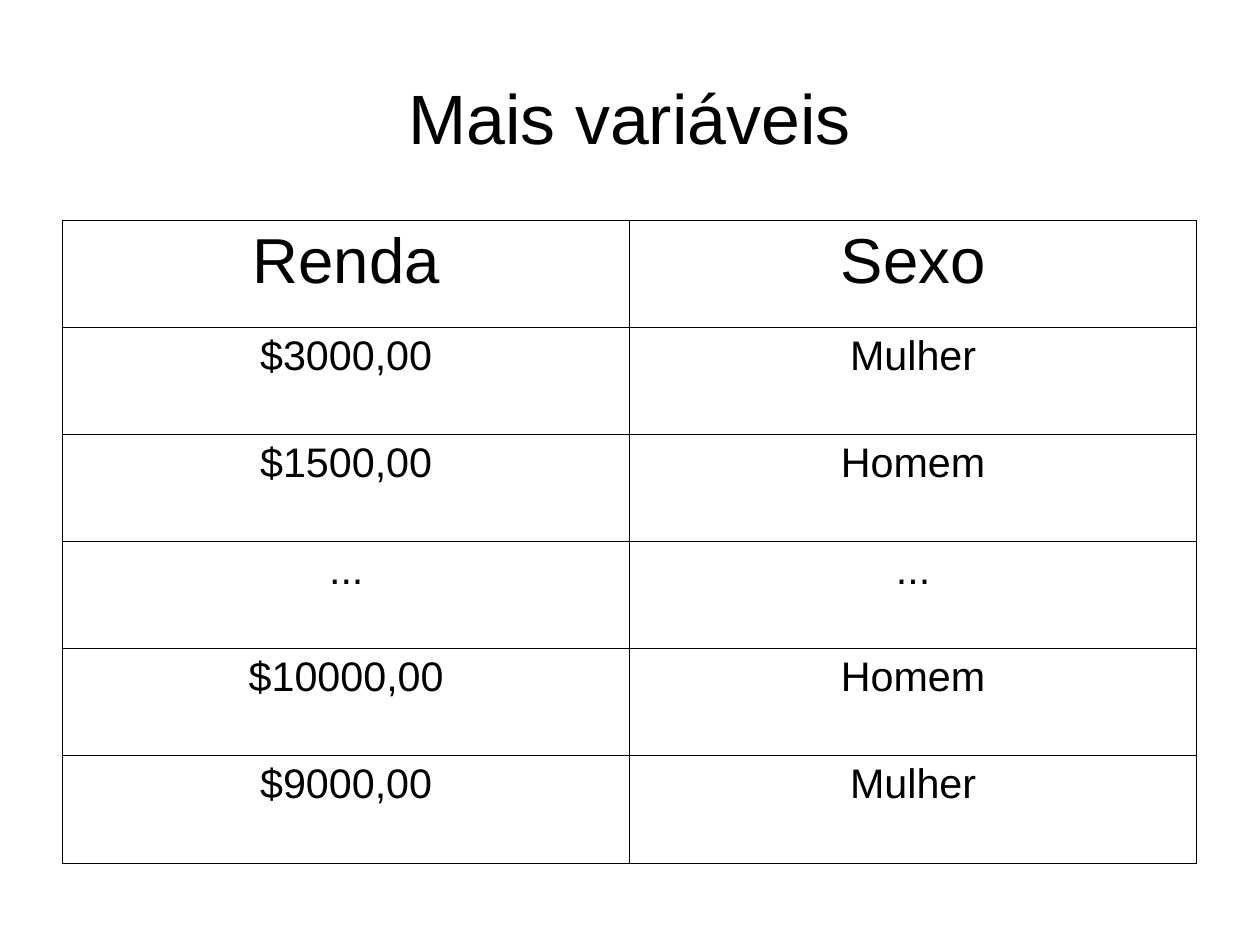
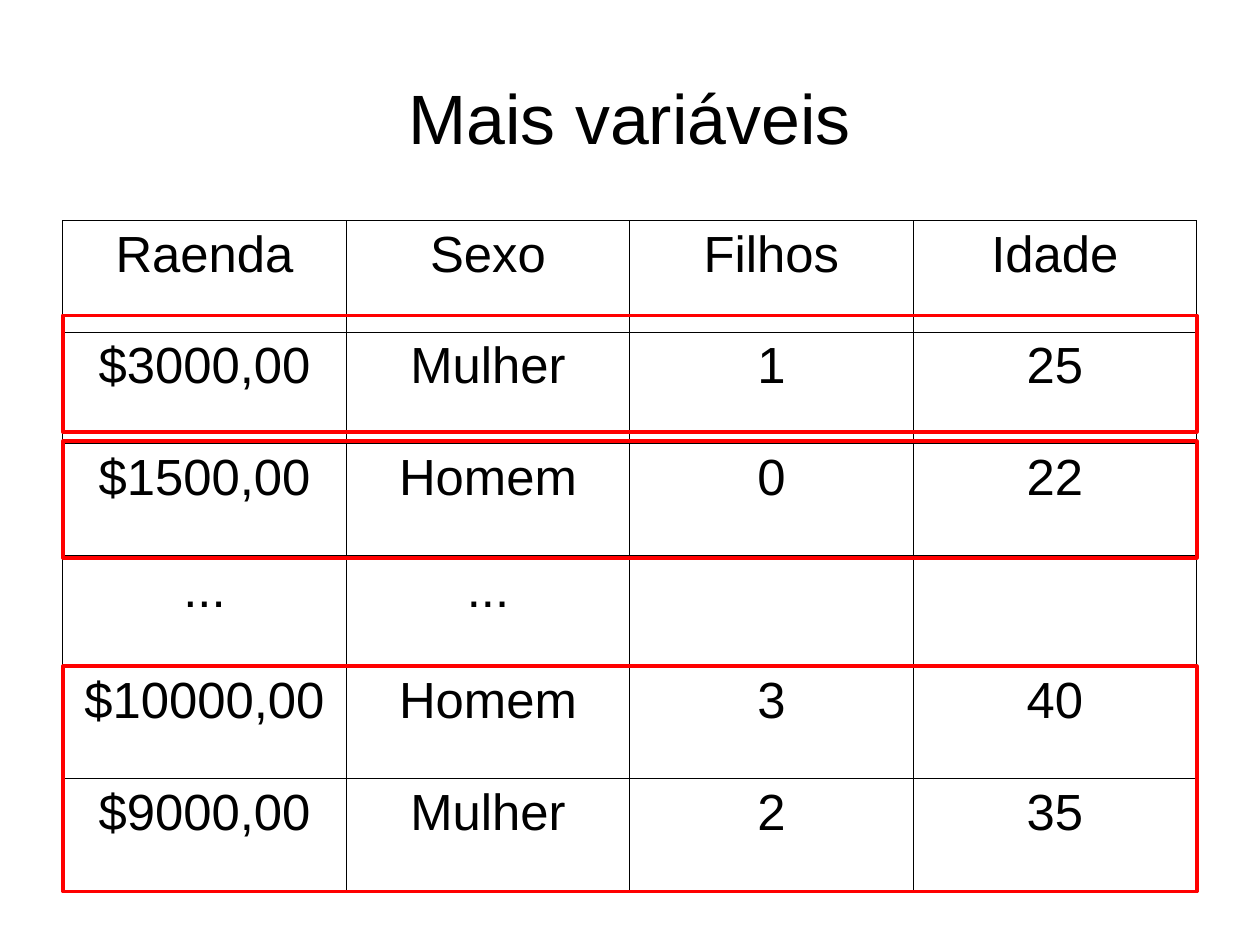
"""Builds two slides of variable tables, the second with marked rows."""
from lxml import etree
from pptx import Presentation
from pptx.dml.color import RGBColor
from pptx.enum import shapes, text
from pptx.oxml import ns
from pptx.util import Cm, Inches, Pt

BLACK = RGBColor(0x00, 0x00, 0x00)
RED = RGBColor(0xFF, 0x00, 0x00)
FONT = "Arial"
LEFT, WIDTH = 0.55, 9.92
TITLE = "Mais variáveis"

INCOME = [
    ["Renda", "Sexo"],
    ["$3000,00", "Mulher"],
    ["$1500,00", "Homem"],
    ["...", "..."],
    ["$10000,00", "Homem"],
    ["$9000,00", "Mulher"],
]
PEOPLE = [
    ["Raenda", "Sexo", "Filhos", "Idade"],
    ["$3000,00", "Mulher", "1", "25"],
    ["$1500,00", "Homem", "0", "22"],
    ["...", "...", "", ""],
    ["$10000,00", "Homem", "3", "40"],
    ["$9000,00", "Mulher", "2", "35"],
]
MARKS = [(3.86, 1.02), (2.76, 1.02), (5.83, 1.97)]


def write(frame, words, size):
    frame.text = words
    line = frame.paragraphs[0]
    line.alignment = text.PP_ALIGN.CENTER
    for run in line.runs:
        run.font.name = FONT
        run.font.size = Pt(size)
        run.font.color.rgb = BLACK


def add_title(slide, words):
    box = slide.shapes.add_textbox(
        Inches(LEFT), Inches(0.33), Inches(WIDTH), Inches(1.38))
    frame = box.text_frame
    frame.word_wrap = True
    frame.vertical_anchor = text.MSO_ANCHOR.MIDDLE
    frame.margin_left = frame.margin_right = 0
    frame.margin_top = frame.margin_bottom = 0
    write(frame, words, 44)


def set_border(cell):
    props = cell._tc.get_or_add_tcPr()
    for side in ("lnL", "lnR", "lnT", "lnB"):
        line = etree.SubElement(props, ns.qn("a:" + side), w=str(Pt(0.57)))
        fill = etree.SubElement(line, ns.qn("a:solidFill"))
        etree.SubElement(fill, ns.qn("a:srgbClr"), val=str(BLACK))


def add_grid(slide, rows, height, head, body):
    count = len(rows[0])
    table = slide.shapes.add_table(
        len(rows), count, Inches(LEFT), Inches(1.93),
        Inches(WIDTH), Inches(height)).table
    table.first_row = table.horz_banding = False
    for col in table.columns:
        col.width = Inches(WIDTH / count)
    for r, row in enumerate(rows):
        table.rows[r].height = Inches(height / len(rows))
        for c, words in enumerate(row):
            cell = table.cell(r, c)
            set_border(cell)
            cell.fill.background()
            write(cell.text_frame, words, body if r else head)


def add_mark(slide, top, height):
    mark = slide.shapes.add_shape(
        shapes.MSO_SHAPE.RECTANGLE,
        Inches(LEFT), Inches(top), Inches(WIDTH), Inches(height))
    mark.shadow.inherit = False
    mark.fill.background()
    mark.line.color.rgb = RED
    mark.line.width = Pt(2.3)
    etree.SubElement(mark.line._get_or_add_ln(), ns.qn("a:round"))


def add_page(deck, rows, height, head, body, marks=()):
    slide = deck.slides.add_slide(deck.slide_layouts[6])
    add_title(slide, TITLE)
    add_grid(slide, rows, height, head, body)
    for top, tall in marks:
        add_mark(slide, top, tall)


def main():
    deck = Presentation()
    deck.slide_width, deck.slide_height = Cm(28), Cm(21)
    add_page(deck, INCOME, 5.62, 40, 26)
    add_page(deck, PEOPLE, 5.86, 32, 32, MARKS)
    deck.save("out.pptx")


if __name__ == "__main__":
    main()
